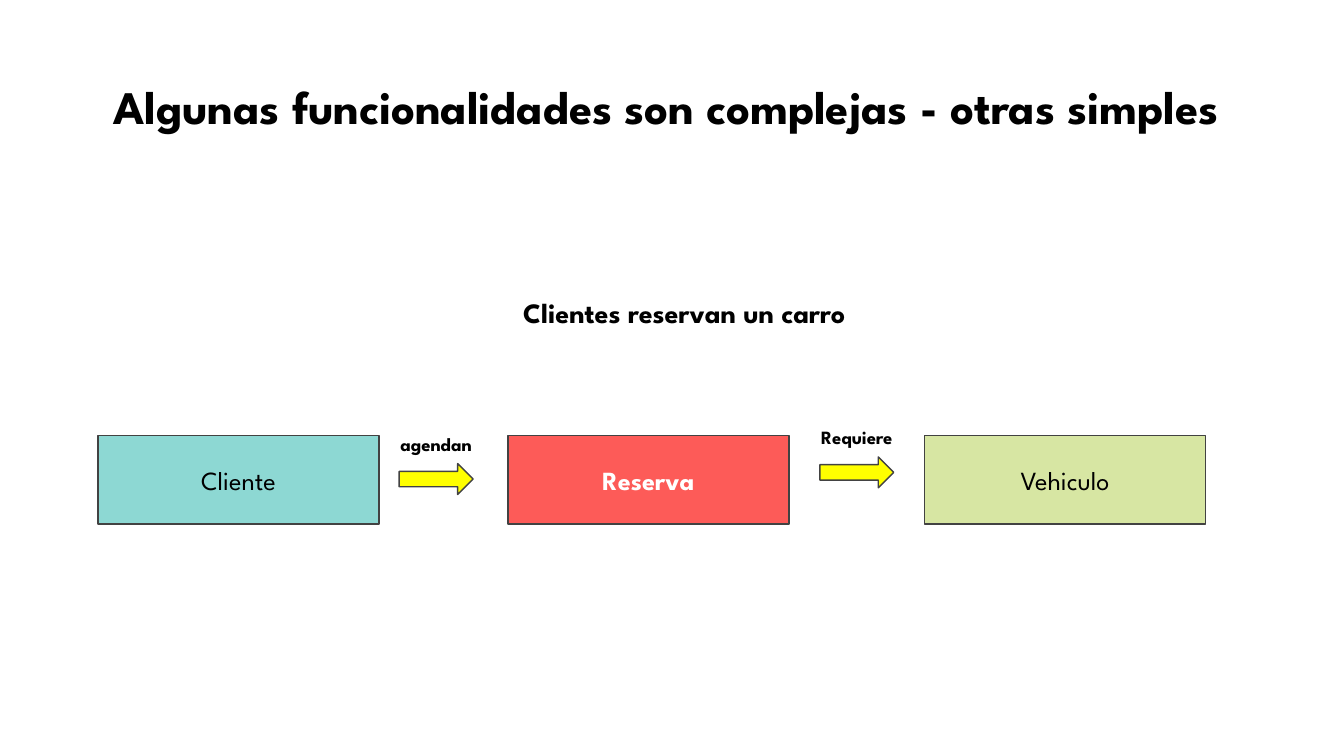
from pptx import Presentation
from pptx.dml.color import RGBColor as RGB
from pptx.enum.shapes import MSO_SHAPE as Shape
from pptx.enum.text import MSO_ANCHOR as Anchor, MSO_AUTO_SIZE as Fit, PP_ALIGN as Align
from pptx.util import Inches, Pt

FONT = "League Spartan"
BLACK = RGB(0x00, 0x00, 0x00)
WHITE = RGB(0xFF, 0xFF, 0xFF)
GRAY = RGB(0x42, 0x42, 0x42)
TEAL = RGB(0x8D, 0xD8, 0xD3)
RED = RGB(0xFD, 0x5B, 0x58)
LIME = RGB(0xD7, 0xE6, 0xA3)
YELLOW = RGB(0xFF, 0xFF, 0x00)

WIDTH = 10
HEIGHT = WIDTH * 9 / 16
BOX_TOP, BOX_W, BOX_H = 3.24, 2.09, 0.66
ARROW_W, ARROW_H = 0.55, 0.23
LABEL_W, LABEL_H, LABEL_UP = 1.26, 0.33, 0.33

# Entities: name, left, fill, text colour, bold
BOXES = [
    ("Cliente", 0.73, TEAL, BLACK, False),
    ("Reserva", 3.78, RED, WHITE, True),
    ("Vehiculo", 6.88, LIME, BLACK, False),
]
# Relations: name, arrow left, arrow top
LINKS = [("agendan", 2.97, 3.45), ("Requiere", 6.1, 3.4)]


def write(shape, text, size, color=BLACK, bold=True, anchor=Anchor.TOP):
    frame = shape.text_frame
    frame.word_wrap = True
    frame.auto_size = Fit.NONE
    frame.vertical_anchor = anchor
    frame.margin_left = frame.margin_right = Inches(0.1)
    frame.margin_top = frame.margin_bottom = Inches(0.1)
    para = frame.paragraphs[0]
    para.alignment = Align.CENTER
    run = para.add_run()
    run.text = text
    font = run.font
    font.name, font.size, font.bold = FONT, Pt(size), bold
    font.color.rgb = color


def add_title(slide, text):
    title = slide.shapes.title
    title.left, title.top = Inches(0), Inches(0.48)
    title.width, title.height = Inches(WIDTH), Inches(0.6)
    write(title, text, 25)


def add_text(slide, text, size, *area):
    write(slide.shapes.add_textbox(*map(Inches, area)), text, size)


def add_form(slide, kind, fill, *area):
    form = slide.shapes.add_shape(kind, *map(Inches, area))
    form.shadow.inherit = False
    form.fill.solid()
    form.fill.fore_color.rgb = fill
    form.line.color.rgb = GRAY
    form.line.width = Pt(0.75)
    return form


def add_box(slide, name, left, fill, color, bold):
    box = add_form(slide, Shape.RECTANGLE, fill, left, BOX_TOP, BOX_W, BOX_H)
    write(box, name, 14, color, bold, Anchor.MIDDLE)


def add_link(slide, name, left, top):
    add_form(slide, Shape.RIGHT_ARROW, YELLOW, left, top, ARROW_W, ARROW_H)
    # The label is centred above its arrow
    start = left + (ARROW_W - LABEL_W) / 2
    add_text(slide, name, 10, start, top - LABEL_UP, LABEL_W, LABEL_H)


def main():
    deck = Presentation()
    deck.slide_width, deck.slide_height = Inches(WIDTH), Inches(HEIGHT)
    slide = deck.slides.add_slide(deck.slide_layouts[5])

    # Headings
    add_title(slide, "Algunas funcionalidades son complejas - otras simples ")
    add_text(slide, "Clientes reservan un carro ", 15, 1.71, 2.1, 6.82, 0.6)

    # Entities and the relations between them
    for box in BOXES:
        add_box(slide, *box)
    for link in LINKS:
        add_link(slide, *link)

    deck.save("out.pptx")


if __name__ == "__main__":
    main()
